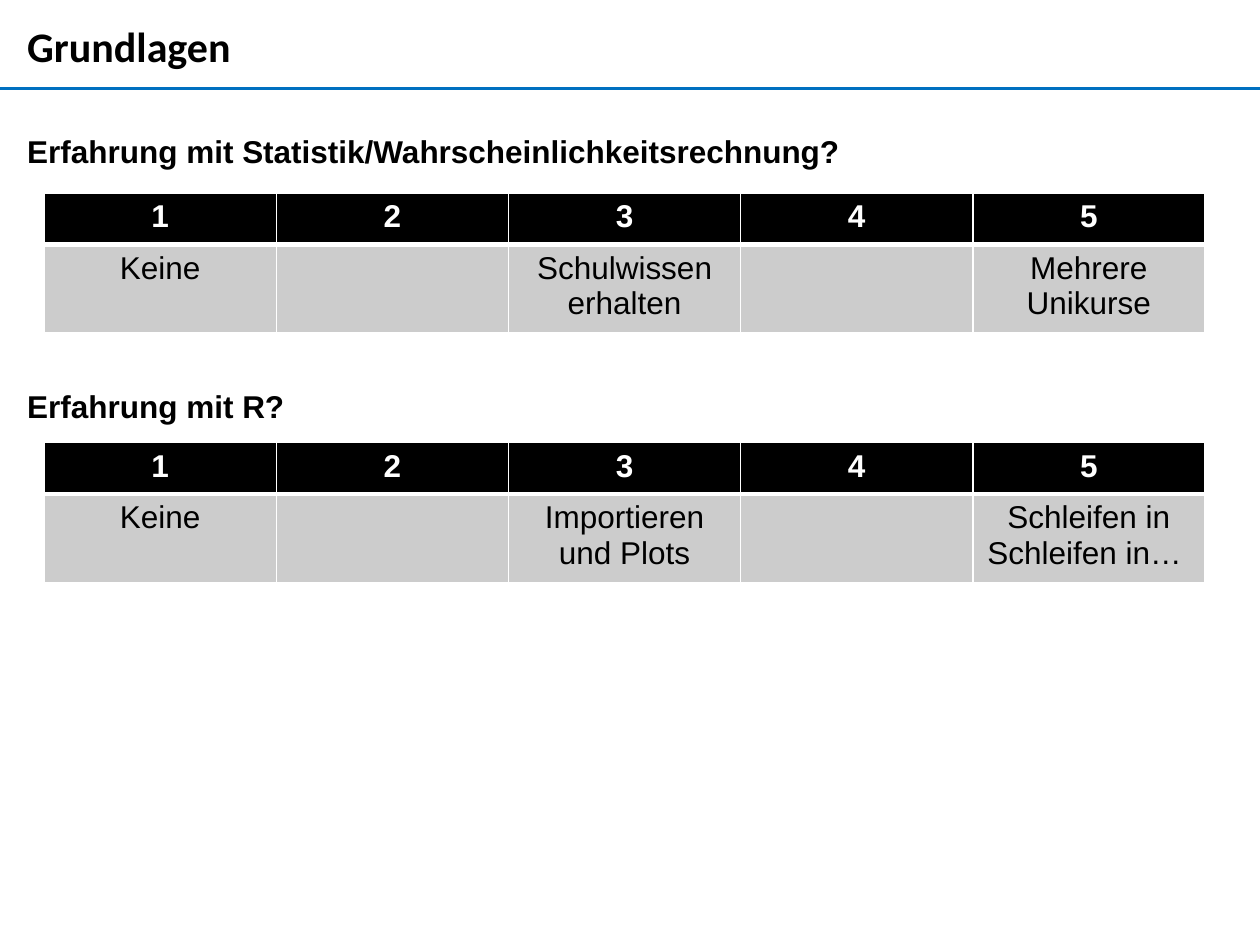
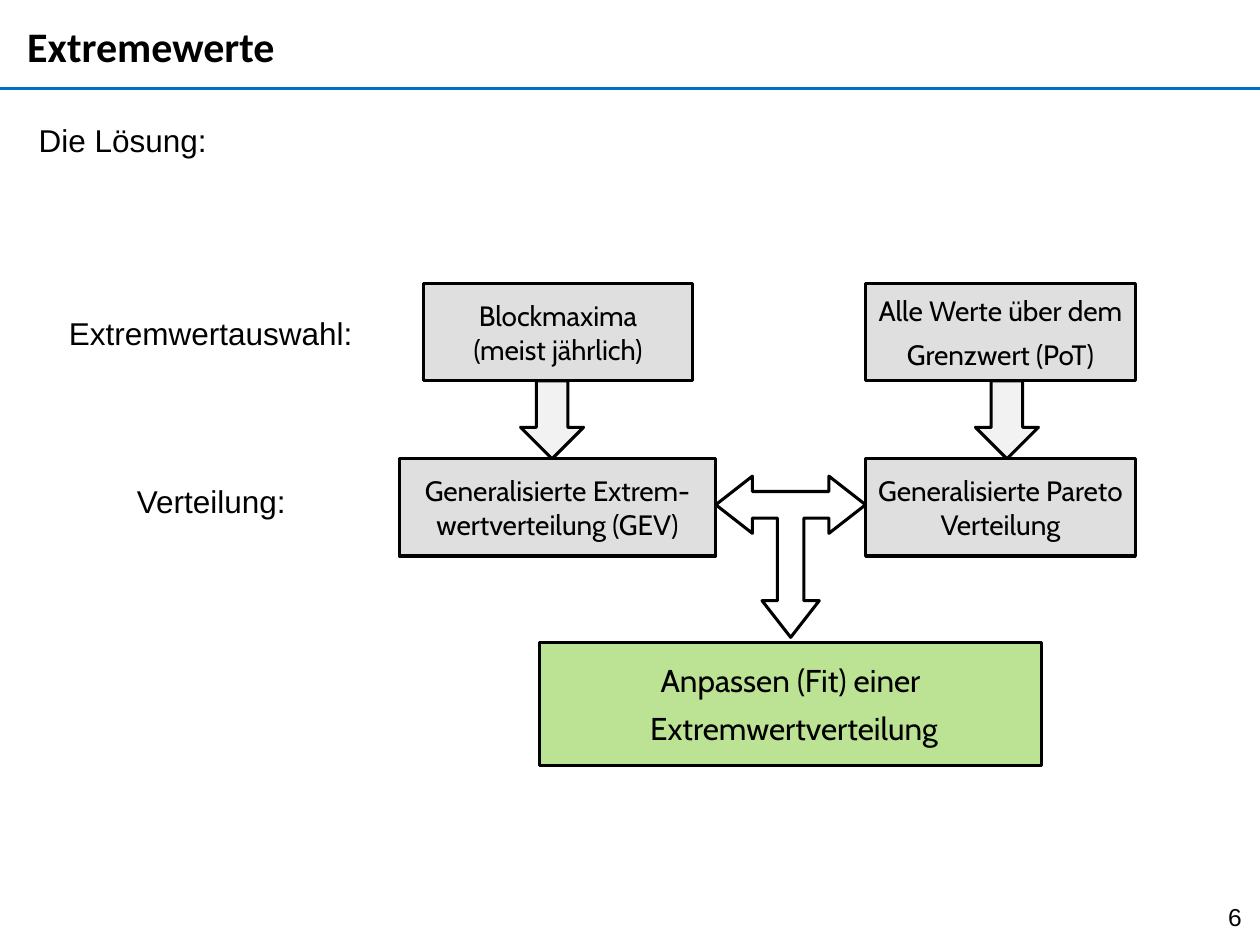
from lxml.etree import SubElement
from pptx import Presentation
from pptx.dml.color import RGBColor
from pptx.enum.shapes import MSO_CONNECTOR, MSO_SHAPE as Shape
from pptx.enum.text import MSO_ANCHOR as Anchor, PP_ALIGN as Align
from pptx.oxml.ns import qn
from pptx.util import Cm, Pt

BLACK = RGBColor(0x00, 0x00, 0x00)
WHITE = RGBColor(0xFF, 0xFF, 0xFF)
BLUE = RGBColor(0x00, 0x70, 0xC0)
GREY = RGBColor(0xCC, 0xCC, 0xCC)
LIGHT_GREY = RGBColor(0xF2, 0xF2, 0xF2)
GREEN = RGBColor(0x92, 0xD0, 0x50)

SLIDE_W, SLIDE_H = 25.4, 19.05
RULE_Y = 1.78
OPACITY = 61

# Slide 1: question, its box (left, top, width), wrapping, table top, answers 1 to 5
SURVEY_TITLE = "Grundlagen"
SURVEY = [
    ("Erfahrung mit Statistik/Wahrscheinlichkeitsrechnung?", (0.3, 2.54, 25), True, 3.89,
     ["Keine", "", "Schulwissen erhalten", "", "Mehrere Unikurse"]),
    ("Erfahrung mit R?", (0.3, 7.67, 5.74), False, 8.92,
     ["Keine", "", "Importieren und Plots", "", "Schleifen in Schleifen in… "]),
]
TABLE_LEFT, COLUMN_W = 0.89, 4.68
HEADER_H, ANSWER_H = 1.04, 1.78

# Slide 2: all lengths in cm
EXTREMES_TITLE = "Extremewerte"
INTRO = "Die Lösung:"
PAGE_NUMBER = "6"
SELECTION_Y, DISTRIBUTION_Y, BOX_H = 5.72, 9.25, 1.96
STEP_LABELS = [("Extremwertauswahl:", 1.14, 6.2, 6.27), ("Verteilung:", 2.51, 9.6, 3.53)]
# lines, left, top, width, space before each line
STEPS = [
    (["Blockmaxima", "(meist jährlich)"], 8.53, SELECTION_Y, 5.44, 0),
    (["Alle Werte über dem", "Grenzwert (PoT)"], 17.45, SELECTION_Y, 5.44, 6),
    (["Generalisierte Extrem-", "wertverteilung (GEV)"], 8.05, DISTRIBUTION_Y, 6.38, 0),
    (["Generalisierte Pareto", "Verteilung"], 17.45, DISTRIBUTION_Y, 5.44, 0),
]
FIT_LINES = ["Anpassen (Fit) einer", " Extremwertverteilung"]
FIT_BOX = (10.87, 12.95, 10.13, 2.49)
DOWN_ARROW_CENTERS, DOWN_ARROW_W = (11.13, 20.3), 1.27
FORK_ARROW = (14.43, 9.6, 3.02, 3.25)
FORK_ADJUSTMENTS = (0.177, 0.191, 0.245)


def write(frame, lines, size=18, font="Arial", color=BLACK, bold=False,
          align=Align.LEFT, space_before=0):
    """Fill a text frame with one paragraph per line."""
    for index, line in enumerate(lines):
        paragraph = frame.add_paragraph() if index else frame.paragraphs[0]
        paragraph.alignment = align
        paragraph.space_before = Pt(space_before)
        run = paragraph.add_run()
        run.text = line
        run.font.size, run.font.name, run.font.bold = Pt(size), font, bold
        run.font.color.rgb = color


def add_label(slide, text, left, top, width, height=1.02, wrap=False,
              anchor=Anchor.TOP, **text_format):
    frame = slide.shapes.add_textbox(Cm(left), Cm(top), Cm(width), Cm(height)).text_frame
    frame.word_wrap = wrap
    frame.vertical_anchor = anchor
    write(frame, [text], **text_format)


def add_outlined(slide, kind, box, fill=None, opacity=100):
    shape = slide.shapes.add_shape(kind, *map(Cm, box))
    shape.shadow.inherit = False
    shape.line.color.rgb = BLACK
    shape.line.width = Pt(1.75)
    if fill is None:
        shape.fill.background()
    else:
        shape.fill.solid()
        shape.fill.fore_color.rgb = fill
    if opacity < 100:
        color = shape._element.spPr.find(qn("a:solidFill")).find(qn("a:srgbClr"))
        SubElement(color, qn("a:alpha"), val=str(opacity * 1000))
    return shape


def add_step(slide, lines, box, fill=GREY, **text_format):
    frame = add_outlined(slide, Shape.RECTANGLE, box, fill, OPACITY).text_frame
    frame.word_wrap = False
    frame.vertical_anchor = Anchor.MIDDLE
    write(frame, lines, font="Cabin", align=Align.CENTER, **text_format)


def set_borders(cell, **widths):
    """Draw white cell borders; they must come before the fill in the cell's XML."""
    properties = cell._tc.get_or_add_tcPr()
    for index, (side, width) in enumerate(widths.items()):
        border = SubElement(properties, qn(f"a:ln{side}"), w=str(Pt(width)))
        SubElement(SubElement(border, qn("a:solidFill")), qn("a:srgbClr"), val=str(WHITE))
        properties.insert(index, border)


def add_scale(slide, top, answers):
    grades = [str(grade) for grade in range(1, len(answers) + 1)]
    table = slide.shapes.add_table(
        2, len(answers), Cm(TABLE_LEFT), Cm(top),
        Cm(COLUMN_W * len(answers)), Cm(HEADER_H + ANSWER_H)).table
    for column in table.columns:
        column.width = Cm(COLUMN_W)
    rows = [(grades, HEADER_H, BLACK, WHITE, True, 1, 3),
            (answers, ANSWER_H, GREY, BLACK, False, 3, 1)]
    for row, (texts, height, fill, color, bold, above, below) in enumerate(rows):
        table.rows[row].height = Cm(height)
        for column, text in enumerate(texts):
            cell = table.cell(row, column)
            cell.fill.solid()
            cell.fill.fore_color.rgb = fill
            set_borders(cell, L=1, R=1, T=above, B=below)
            write(cell.text_frame, [text], color=color, bold=bold, align=Align.CENTER)


def add_titled_slide(deck, title):
    slide = deck.slides.add_slide(deck.slide_layouts[6])
    rule = slide.shapes.add_connector(
        MSO_CONNECTOR.STRAIGHT, Cm(0), Cm(RULE_Y), Cm(SLIDE_W), Cm(RULE_Y))
    rule.line.color.rgb = BLUE
    rule.line.width = Pt(1.5)
    SubElement(rule._element.spPr, qn("a:effectLst"))
    add_label(slide, title, 0.3, 0.13, 22.86, 1.6, wrap=True, anchor=Anchor.MIDDLE,
              size=24, font="Calibri", bold=True)
    return slide


def build_survey(deck):
    slide = add_titled_slide(deck, SURVEY_TITLE)
    for question, box, wrap, table_top, answers in SURVEY:
        add_label(slide, question, *box, wrap=wrap, bold=True, space_before=6)
        add_scale(slide, table_top, answers)


def build_extremes(deck):
    slide = add_titled_slide(deck, EXTREMES_TITLE)
    add_label(slide, INTRO, 0.53, 2.31, 23.57, wrap=True, space_before=6)
    for text, left, top, width in STEP_LABELS:
        add_label(slide, text, left, top, width)

    add_step(slide, FIT_LINES, FIT_BOX, GREEN, size=18, space_before=6)
    for lines, left, top, width, space in STEPS:
        add_step(slide, lines, (left, top, width, BOX_H), size=16, space_before=space)

    fork = add_outlined(slide, Shape.LEFT_RIGHT_UP_ARROW, FORK_ARROW)
    fork._element.spPr.find(qn("a:xfrm")).set("flipV", "1")
    for index, value in enumerate(FORK_ADJUSTMENTS):
        fork.adjustments[index] = value

    arrow_top = SELECTION_Y + BOX_H
    for center in DOWN_ARROW_CENTERS:
        add_outlined(slide, Shape.DOWN_ARROW,
                     (center - DOWN_ARROW_W / 2, arrow_top,
                      DOWN_ARROW_W, DISTRIBUTION_Y - arrow_top), LIGHT_GREY)
    add_label(slide, PAGE_NUMBER, 24.51, 18.06, 0.79, 0.86, size=14)


def main():
    deck = Presentation()
    deck.slide_width, deck.slide_height = Cm(SLIDE_W), Cm(SLIDE_H)
    build_survey(deck)
    build_extremes(deck)
    deck.save("out.pptx")


if __name__ == "__main__":
    main()
